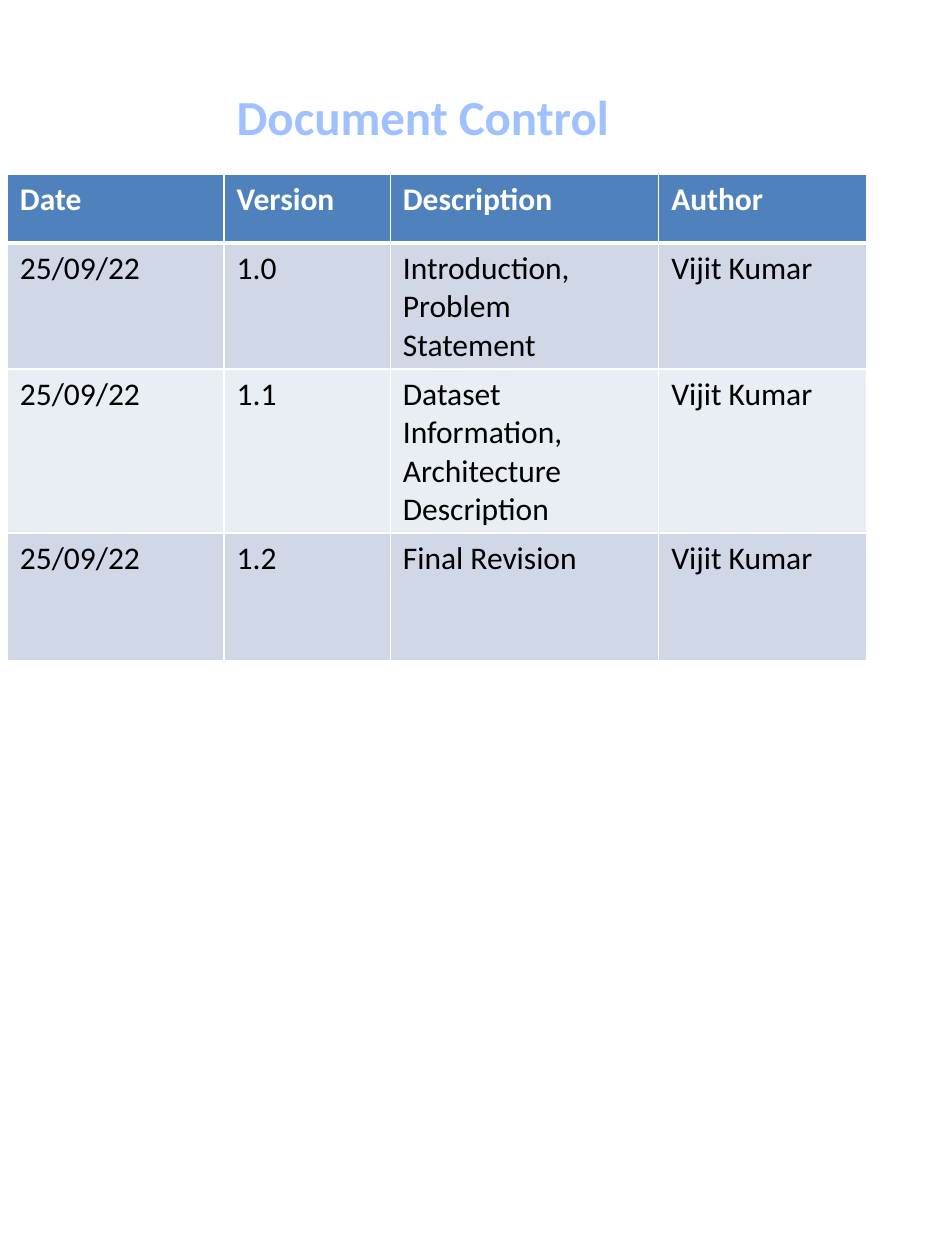
from lxml.etree import SubElement
from pptx import Presentation
from pptx.dml.color import RGBColor
from pptx.enum.text import MSO_AUTO_SIZE
from pptx.oxml.ns import qn
from pptx.util import Pt

WHITE, BLACK = "FFFFFF", "000000"
TITLE_BLUE, HEADER_BLUE = "A0C1FF", "4F81BD"
BANDS = ("D0D8E8", "E9EDF4")

COL_WIDTHS = (123.84, 95.04, 153.36, 118.8)
ROW_HEIGHTS = (39.6, 72, 93.6, 72.7)
ROWS = (
    ("Date", "Version", "Description", "Author"),
    ("25/09/22", "1.0", "Introduction, Problem Statement", "Vijit Kumar"),
    ("25/09/22", "1.1", "Dataset Information, Architecture Description", "Vijit Kumar"),
    ("25/09/22", "1.2", "Final Revision", "Vijit Kumar"),
)


def rgb(color):
    return RGBColor.from_string(color)


def write(tf, text, size=18, color=BLACK, bold=False, font="Calibri"):
    r = tf.paragraphs[0].add_run()
    r.text = text
    r.font.name, r.font.size, r.font.bold = font, Pt(size), bold
    r.font.color.rgb = rgb(color)


def border(cell, side, width, color=WHITE):
    """Draw one cell edge; side is L, R, T or B, in that order."""
    ln = SubElement(cell._tc.get_or_add_tcPr(), qn(f"a:ln{side}"), w=str(Pt(width)))
    SubElement(SubElement(ln, qn("a:solidFill")), qn("a:srgbClr"), val=color)


class Page:
    def __init__(self, prs):
        self.s = prs.slides.add_slide(prs.slide_layouts[6])

    def title(self, text, x, y, w, h):
        tf = self.s.shapes.add_textbox(Pt(x), Pt(y), Pt(w), Pt(h)).text_frame
        tf.word_wrap = False
        tf.auto_size = MSO_AUTO_SIZE.SHAPE_TO_FIT_TEXT
        write(tf, text, size=28, color=TITLE_BLUE, bold=True)

    def table(self, rows, x, y, widths, heights):
        """Add a table with a header row and banded body rows."""
        table = self.s.shapes.add_table(
            len(rows), len(widths), Pt(x), Pt(y), Pt(sum(widths)), Pt(sum(heights))
        ).table
        for col, width in zip(table.columns, widths):
            col.width = Pt(width)
        for i, (row, height) in enumerate(zip(rows, heights)):
            table.rows[i].height = Pt(height)
            header = i == 0
            for j, text in enumerate(row):
                cell = table.cell(i, j)
                for side in "LRTB":
                    under_header = (i, side) in ((0, "B"), (1, "T"))
                    border(cell, side, 3 if under_header else 1)
                cell.fill.solid()
                cell.fill.fore_color.rgb = rgb(HEADER_BLUE if header else BANDS[(i - 1) % 2])
                write(cell.text_frame, text, color=WHITE if header else BLACK, bold=header)


def main():
    prs = Presentation()
    prs.slide_width, prs.slide_height = Pt(540), Pt(720)
    page = Page(prs)
    page.title("Document Control", 128.16, 46.08, 229.68, 41.04)
    page.table(ROWS, 4.2, 99.36, COL_WIDTHS, ROW_HEIGHTS)
    prs.save("out.pptx")


if __name__ == "__main__":
    main()
